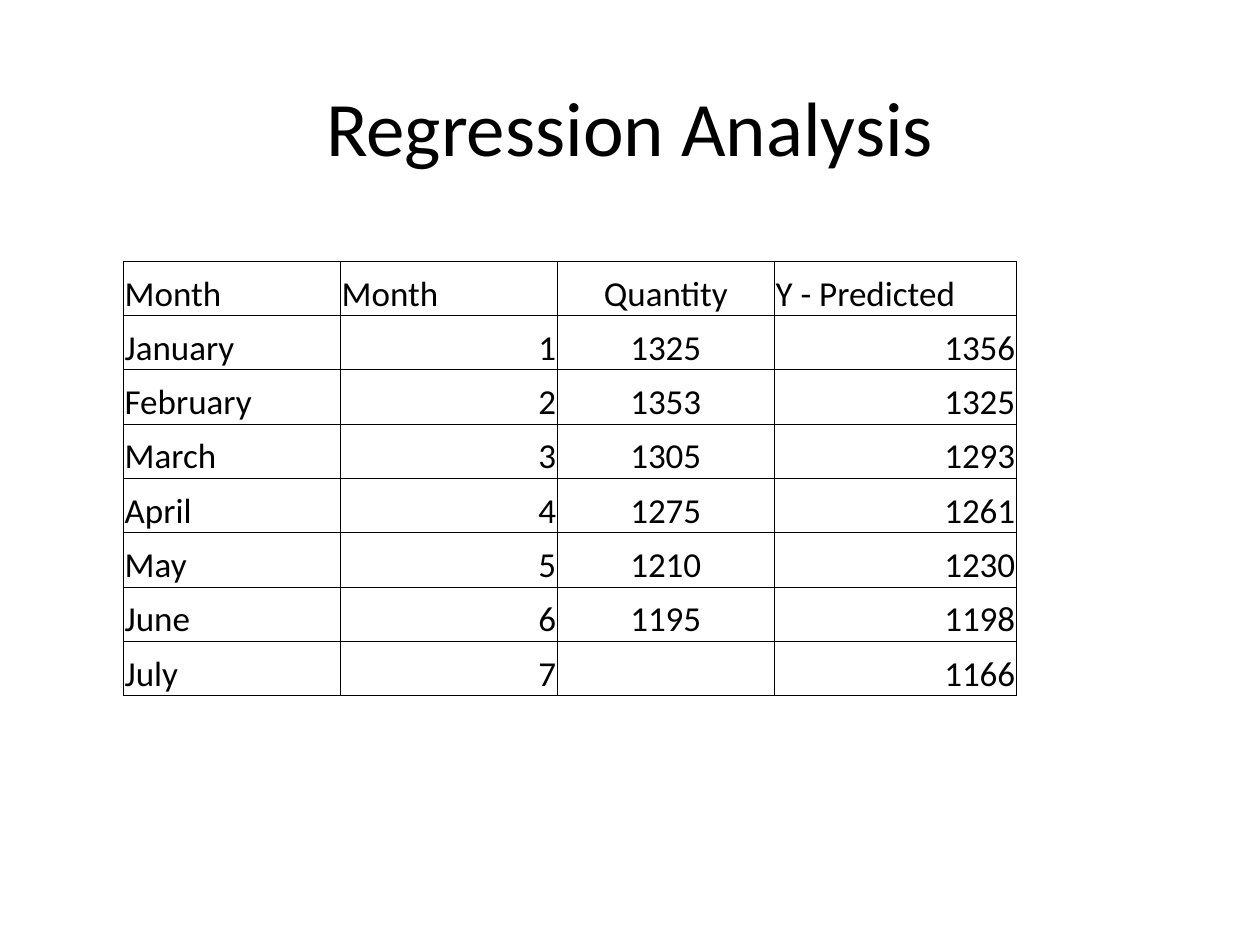
from dataclasses import dataclass

from lxml import etree
from pptx import Presentation
from pptx.dml.color import RGBColor
from pptx.enum.text import MSO_ANCHOR, PP_ALIGN
from pptx.oxml.ns import qn
from pptx.util import Pt

LEFT, CENTER, RIGHT = PP_ALIGN.LEFT, PP_ALIGN.CENTER, PP_ALIGN.RIGHT
MIDDLE, BOTTOM = MSO_ANCHOR.MIDDLE, MSO_ANCHOR.BOTTOM

COLORS = {"text": "000000", "border": "000000"}
FONT = "Calibri"
TABLE_LEFT, TABLE_TOP, ROW_HEIGHT = 70.5, 149.25, 31.05
INSET = 0.75
BORDER_WIDTH = 0.5


@dataclass(frozen=True)
class Column:
    header: str
    width: float
    header_align: PP_ALIGN
    align: PP_ALIGN


COLUMNS = [
    Column("Month", 124, LEFT, LEFT),
    Column("Month", 124, LEFT, RIGHT),
    Column("Quantity", 124, CENTER, CENTER),
    Column("Y - Predicted", 138.5, LEFT, RIGHT),
]
ROWS = [
    ("January", 1, 1325, 1356),
    ("February", 2, 1353, 1325),
    ("March", 3, 1305, 1293),
    ("April", 4, 1275, 1261),
    ("May", 5, 1210, 1230),
    ("June", 6, 1195, 1198),
    ("July", 7, "", 1166),
]


def set_text(tf, text: str, size: float, align: PP_ALIGN) -> None:
    tf.text = text
    p = tf.paragraphs[0]
    p.alignment = align
    for r in p.runs:
        r.font.name = FONT
        r.font.size = Pt(size)
        r.font.bold = False
        r.font.color.rgb = RGBColor.from_string(COLORS["text"])


def add_borders(cell) -> None:
    tc_pr = cell._tc.get_or_add_tcPr()
    for side in ("a:lnL", "a:lnR", "a:lnT", "a:lnB"):
        ln = etree.SubElement(tc_pr, qn(side), w=str(Pt(BORDER_WIDTH)))
        fill = etree.SubElement(ln, qn("a:solidFill"))
        etree.SubElement(fill, qn("a:srgbClr"), val=COLORS["border"])


def format_cell(cell, text: str, align: PP_ALIGN) -> None:
    set_text(cell.text_frame, text, 20, align)
    cell.vertical_anchor = BOTTOM
    cell.margin_left = cell.margin_right = cell.margin_top = Pt(INSET)
    cell.margin_bottom = Pt(0)
    add_borders(cell)
    cell.fill.background()


def add_title(s, text: str) -> None:
    sp = s.shapes.title
    sp.left, sp.top, sp.width, sp.height = Pt(36), Pt(27), Pt(648), Pt(90)
    set_text(sp.text_frame, text, 44, CENTER)
    sp.text_frame.vertical_anchor = MIDDLE


def add_forecast_table(s) -> None:
    row_count = len(ROWS) + 1
    width = sum(c.width for c in COLUMNS)
    table = s.shapes.add_table(
        row_count, len(COLUMNS), Pt(TABLE_LEFT), Pt(TABLE_TOP),
        Pt(width), Pt(ROW_HEIGHT * row_count),
    ).table
    table.first_row = table.horz_banding = False
    for row in table.rows:
        row.height = Pt(ROW_HEIGHT)
    for j, column in enumerate(COLUMNS):
        table.columns[j].width = Pt(column.width)
        format_cell(table.cell(0, j), column.header, column.header_align)
        for i, values in enumerate(ROWS, start=1):
            format_cell(table.cell(i, j), str(values[j]), column.align)


def main() -> None:
    prs = Presentation()
    prs.slide_width, prs.slide_height = Pt(720), Pt(540)
    s = prs.slides.add_slide(prs.slide_layouts[5])
    add_title(s, "Regression Analysis")
    add_forecast_table(s)
    prs.save("out.pptx")


if __name__ == "__main__":
    main()
